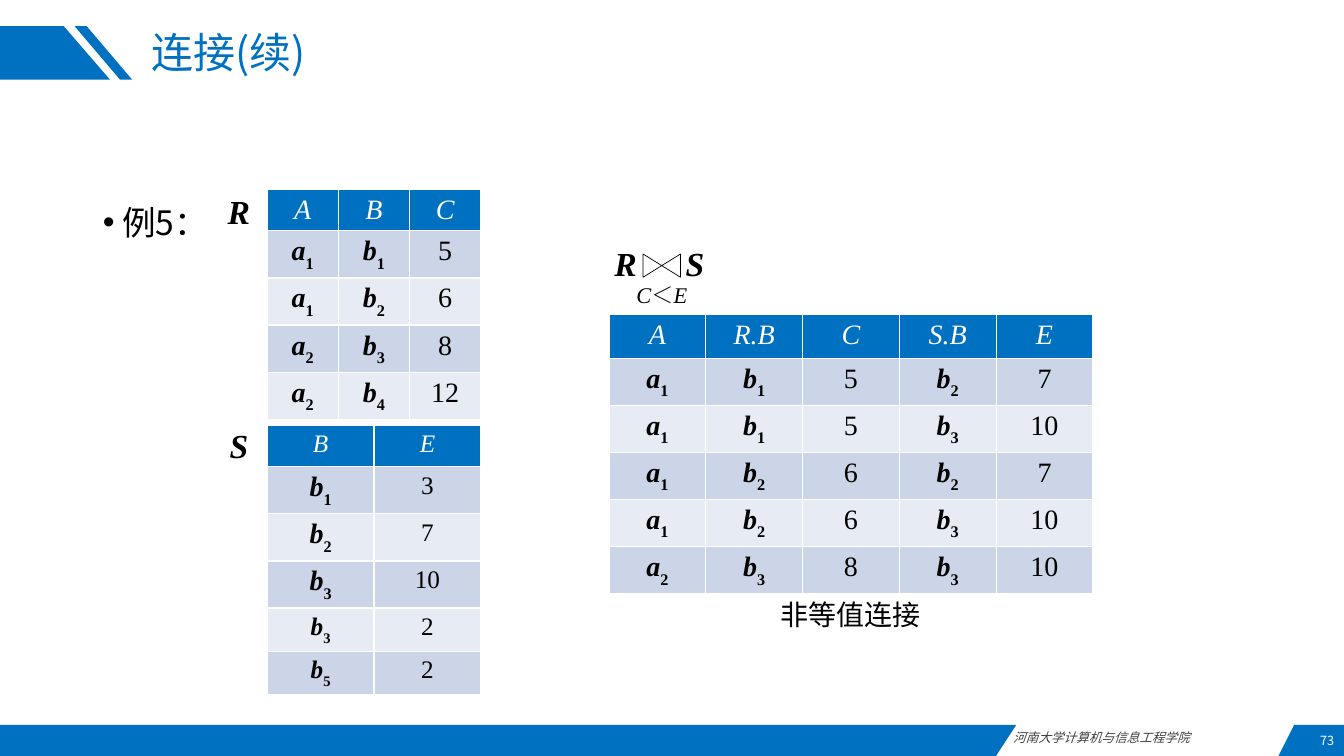
from lxml import etree
from pptx import Presentation
from pptx import util as u
from pptx.dml.color import RGBColor
from pptx.enum import shapes, text
from pptx.oxml import ns

COLORS = {"blue": "0070C0", "white": "FFFFFF", "black": "000000",
          "gray": "404040", "odd": "CCD5E8", "even": "E7EBF4"}
SANS, SERIF = "Noto Sans CJK SC", "Times New Roman"
ALIGN, ANCHOR = text.PP_ALIGN, text.MSO_ANCHOR
SLIDE_W, SLIDE_H = u.Inches(13.33), u.Inches(7.5)
COLS, ROWS = 133.3, 75  # slide grid


def gx(columns):
    return round(SLIDE_W * columns / COLS)


def gy(rows):
    return round(SLIDE_H * rows / ROWS)


def emu(box):
    x, y, w, h = box
    return gx(x), gy(y), gx(w), gy(h)


def rgb(name):
    return RGBColor.from_string(COLORS[name])


def style(r, size, font=SANS, color="black", bold=False, italic=False, base=0):
    f = r.font
    f.size, f.name, f.bold, f.italic = u.Pt(size), font, bold, italic
    f.color.rgb = rgb(color)
    rPr = r._r.get_or_add_rPr()
    etree.SubElement(rPr, ns.qn("a:ea"), typeface=font)
    if base:
        rPr.set("baseline", str(base * 1000))


def add_run(p, content, size, **look):
    r = p.add_run()
    r.text = content
    style(r, size, **look)


def add_label(s, box, content, size, align=ALIGN.CENTER, anchor=ANCHOR.MIDDLE,
              wrap=False, **look):
    tf = s.shapes.add_textbox(*emu(box)).text_frame
    tf.word_wrap, tf.vertical_anchor = wrap, anchor
    p = tf.paragraphs[0]
    p.alignment = align
    if content:
        add_run(p, content, size, **look)
    return p


def add_band(s, box, points):
    """Blue outline whose points are shares of the box."""
    x, y, w, h = box
    pts = [(gx(x + w * px), gy(y + h * py)) for px, py in points]
    builder = s.shapes.build_freeform(*pts[0])
    builder.add_line_segments(pts[1:], close=True)
    sp = builder.convert_to_shape()
    sp.shadow.inherit = False
    sp.fill.solid()
    sp.fill.fore_color.rgb = rgb("blue")
    sp.line.fill.background()


# Header ribbon and title
def add_header(s, box):
    x, y, w, h = box
    add_band(s, (x, y, 10.9, h), [(0, 0), (0.58, 0), (1, 1), (0, 1)])
    add_band(s, (x + 7.4, y, 5.7, h), [(0.21, 0), (1, 1), (0.79, 1), (0, 0)])
    title = s.shapes.title
    title.left, title.top, title.width, title.height = emu((x + 14, y, w - 14, h + 0.4))
    tf = title.text_frame
    tf.text = "连接(续)"
    tf.vertical_anchor = ANCHOR.MIDDLE
    p = tf.paragraphs[0]
    p.alignment, p.line_spacing = ALIGN.LEFT, 0.9
    style(p.runs[0], 30, color="blue")


# Footer band, school name and page number
def add_footer(s, box):
    x, y, w, h = box
    add_band(s, (x, y, 100.8, h), [(0, 0), (1, 0), (0.98, 1), (0, 1)])
    add_band(s, (x + w - 6.5, y, 6.5, h), [(0.24, 0), (1, 0), (1, 1), (0, 1)])
    add_label(s, (x + 99.5, y, 27.3, 2.5), "河南大学计算机与信息工程学院", 9,
              align=ALIGN.JUSTIFY, wrap=True, color="gray", italic=True)
    add_label(s, (x + w - 13.9, y + 0.1, 13.9, 3), "73", 9,
              align=ALIGN.RIGHT, wrap=True, color="white")


# Bulleted example heading
def add_example(s, box):
    body = s.placeholders[1]
    body.left, body.top, body.width, body.height = emu(box)
    body.text_frame.text = "例5："
    p = body.text_frame.paragraphs[0]
    pPr = p._p.get_or_add_pPr()
    pPr.set("marL", str(u.Inches(0.19)))
    pPr.set("indent", str(-u.Inches(0.19)))
    etree.SubElement(pPr, ns.qn("a:buChar"), char="•")
    p.space_before, p.space_after = u.Pt(0), u.Pt(4.5)
    style(p.runs[0], 24)


def add_borders(cell):
    tcPr = cell._tc.get_or_add_tcPr()
    for side in ("lnL", "lnR", "lnT", "lnB"):
        ln = etree.SubElement(tcPr, ns.qn("a:" + side), w=str(u.Pt(1)))
        fill = etree.SubElement(ln, ns.qn("a:solidFill"))
        etree.SubElement(fill, ns.qn("a:srgbClr"), val=COLORS["white"])


# Relation: header row, then tuples; a1 or b2 is a subscripted variable
def add_relation(s, box, lines, heights, size, var_sizes):
    rows = [line.split() for line in lines]
    x, y, w, h = emu(box)
    table = s.shapes.add_table(len(rows), len(rows[0]), x, y, w, h).table
    for i, (row, height, var_size) in enumerate(zip(rows, heights, var_sizes)):
        table.rows[i].height = gy(height)
        for j, value in enumerate(row):
            cell = table.cell(i, j)
            add_borders(cell)
            cell.fill.solid()
            shade = "blue" if i == 0 else "odd" if i % 2 else "even"
            cell.fill.fore_color.rgb = rgb(shade)
            # Subscripts deepen the line, so the space below is trimmed
            cell.margin_bottom = u.Pt(1.75)
            p = cell.text_frame.paragraphs[0]
            p.alignment = ALIGN.CENTER
            if i == 0:
                add_run(p, value, size, font=SERIF, color="white", italic=True)
            elif value[0] in "ab":
                add_run(p, value[0], var_size, font=SERIF, bold=True, italic=True)
                add_run(p, value[1:], var_size, font=SERIF, bold=True, base=-30)
            else:
                add_run(p, value, size, font=SERIF)


# Join expression: R, bow tie, S and the condition below
def add_join(s, box):
    x, y, w, h = box
    for name, center in (("R", 0.17), ("S", 0.88)):
        add_label(s, (x + w * center - 2.4, y - 0.3, 4.8, 5.5), name, 24,
                  font=SERIF, bold=True, italic=True)
    tie = s.shapes.add_shape(shapes.MSO_SHAPE.FLOWCHART_COLLATE,
                             *emu((x + w * 0.54 - 1.15, y + 0.9, 2.3, 3.7)))
    tie.rotation = 270
    tie.shadow.inherit = False
    tie.fill.solid()
    tie.fill.fore_color.rgb = rgb("white")
    tie.line.color.rgb = rgb("black")
    tie.line.width = u.Pt(0.5)
    p = add_label(s, (x + w * 0.54 - 5.4, y + h - 4.7, 10.8, 4.1), "", 16)
    p.line_spacing = 0.8
    for part in "C＜E":
        add_run(p, part, 16, font=SERIF, italic=part != "＜")


# Left column: relations R and S with their names
def add_operands(s, box):
    x, y, w, h = box
    for name, top in (("R", y), ("S", y + 23.2)):
        add_label(s, (x, top, 4.8, 5.5), name, 24,
                  font=SERIF, bold=True, italic=True)
    table_x, table_w = x + 5.2, w - 5.2
    add_relation(s, (table_x, y + 0.6, table_w, 20.5),
                 ["A B C", "a1 b1 5", "a1 b2 6", "a2 b3 8", "a2 b4 12"],
                 [4.1] * 5, 20, [20] * 5)
    add_relation(s, (table_x, y + 24, table_w, h - 24),
                 ["B E", "b1 3", "b2 7", "b3 10", "b3 2", "b5 2"],
                 [4.1, 4.3, 4.3, 4.3, 4.1, 4.1], 18, [20, 20, 20, 20, 18, 18])


# Right column: join expression, its result and the caption
def add_result(s, box):
    x, y, w, h = box
    add_join(s, (x, y, 9.7, 8.5))
    add_relation(s, (x, y + 7.6, w, 26),
                 ["A R.B C S.B E", "a1 b1 5 b2 7", "a1 b1 5 b3 10",
                  "a1 b2 6 b2 7", "a1 b2 6 b3 10", "a2 b3 8 b3 10"],
                 [4.33] * 6, 20, [20] * 6)
    add_label(s, (x, y + h - 4.4, w, 4.4), "非等值连接", 20,
              anchor=ANCHOR.TOP, wrap=True)


def main():
    prs = Presentation()
    prs.slide_width, prs.slide_height = SLIDE_W, SLIDE_H
    s = prs.slides.add_slide(prs.slide_layouts[1])
    add_header(s, (0, 2.6, 118.5, 5.3))
    add_footer(s, (0, 71.9, COLS, 3.1))
    add_example(s, (9.2, 19.5, 115, 50.2))
    add_operands(s, (21.3, 18.2, 26.4, 49.2))
    add_result(s, (60.4, 23.6, 48, 39.6))
    prs.save("out.pptx")


if __name__ == "__main__":
    main()
